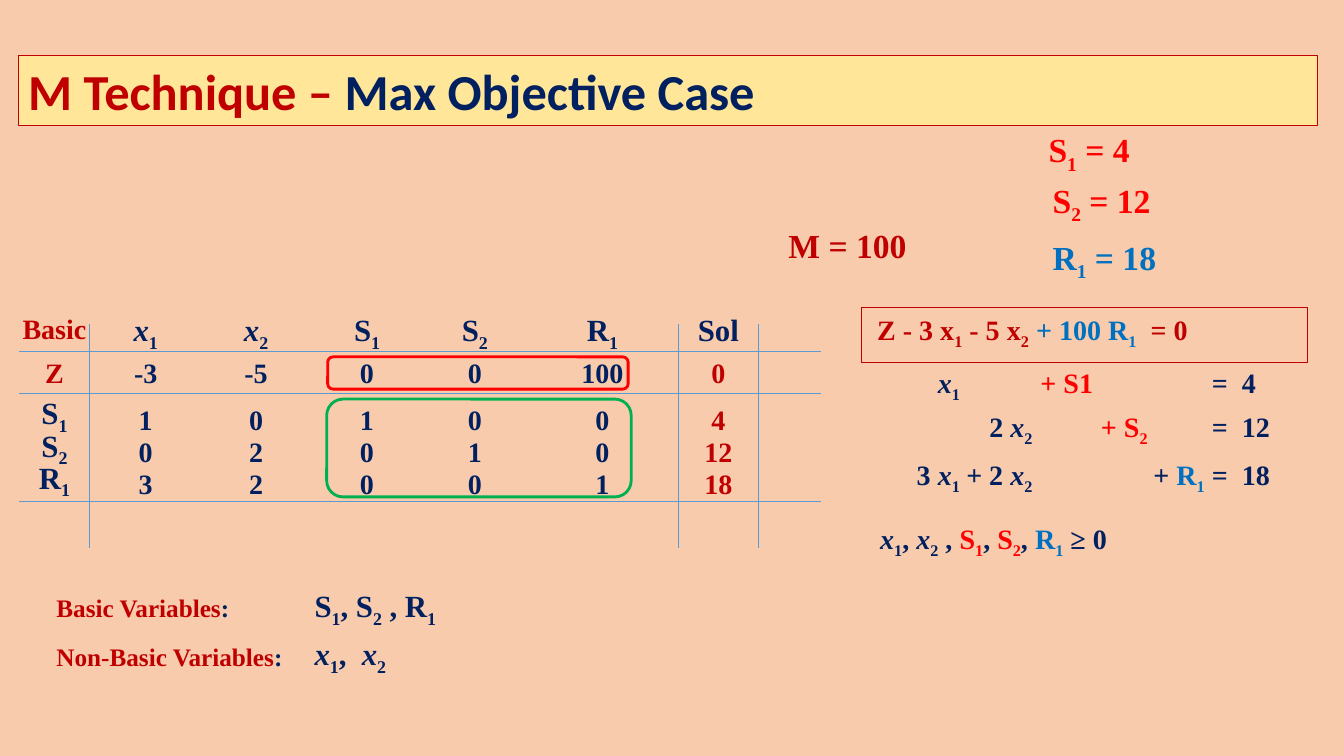
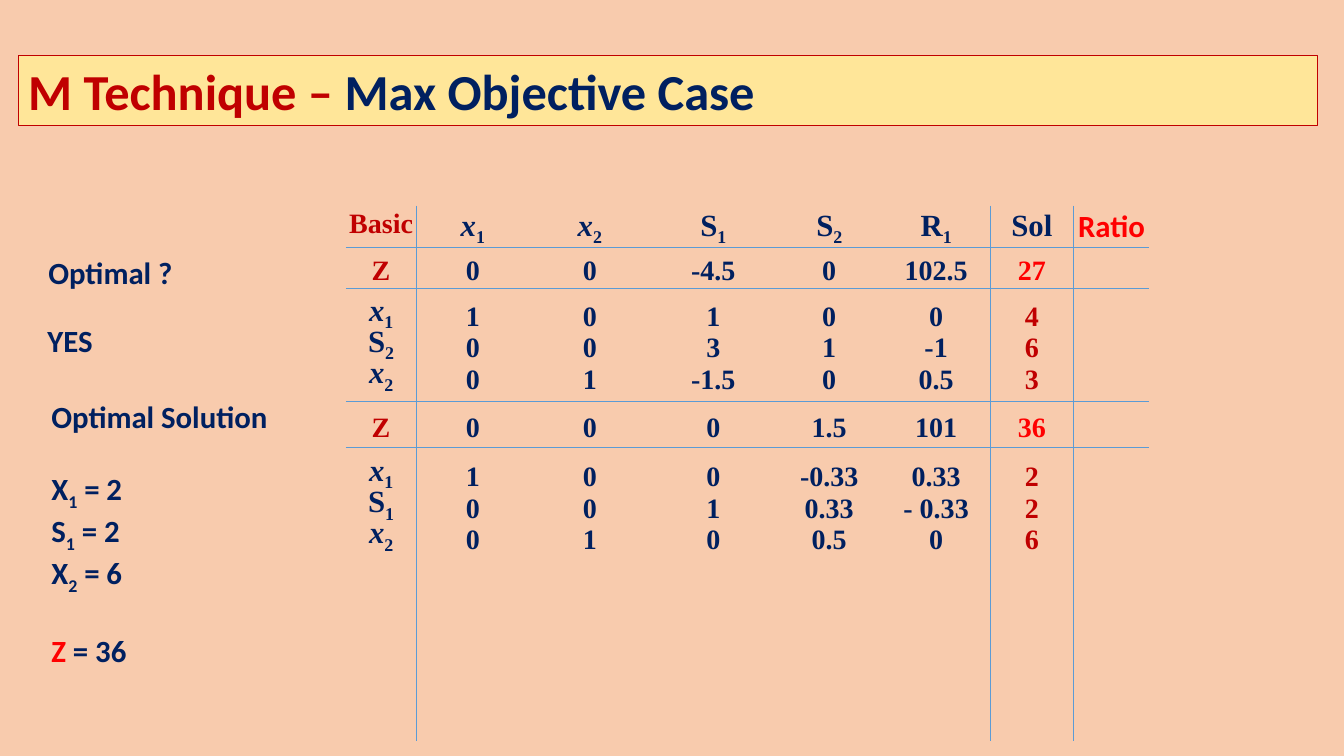
import pptx
import pptx.util
import pptx.dml.color
import pptx.enum.shapes
import pptx.enum.text
import pptx.oxml.ns
from itertools import accumulate
from lxml import etree

In, Pt = pptx.util.Inches, pptx.util.Pt
RGB = pptx.dml.color.RGBColor
SHAPE = pptx.enum.shapes.MSO_SHAPE
ANCHOR = pptx.enum.text.MSO_ANCHOR
ALIGN = pptx.enum.text.PP_ALIGN
qn = pptx.oxml.ns.qn

# Shared look
PEACH, CREAM = RGB(0xF8, 0xCB, 0xAD), RGB(0xFF, 0xE6, 0x99)
DARK_RED, RED = RGB(0xC0, 0, 0), RGB(0xFF, 0, 0)
NAVY, BLUE = RGB(0, 0x20, 0x60), RGB(0, 0x70, 0xC0)
RULE, GREEN = RGB(0x5B, 0x9B, 0xD5), RGB(0, 0xB0, 0x50)
SERIF, SANS = "Times New Roman", "Calibri"
NO_GRID = "{2D5ABB26-0587-4C30-8999-92F81FD0307C}"

# Content: "_" makes the next character a subscript, "~" makes it italic;
# a text with several colours is a list of (text, colour) pairs
TITLE = [("M Technique – ", DARK_RED), ("Max Objective Case", NAVY)]
HEADER = [[("Basic", DARK_RED)], "~x_1", "~x_2", "S_1", "S_2", "R_1", "Sol"]
RATIO = [("Ratio", RED)]

START = dict(
    rows=[HEADER + [""],
          ["Z", "-3", "-5", "0", "0", "100", "0", ""],
          ["S_1", "1", "0", "1", "0", "0", "4", ""],
          ["S_2", "0", "2", "0", "1", "0", "12", ""],
          ["R_1", "3", "2", "0", "0", "1", "18", ""]],
    left=0.19, top=3.12,
    widths=[0.7, 1.11, 1.08, 1.12, 1.02, 1.51, 0.79, 0.62],
    heights=[0.4, 0.34, 0.47, 0.32, 0.32],
    rules_y=[3.49, 3.9, 4.97], rules_span=(3.21, 5.44), z_colour=DARK_RED)

FINAL = dict(
    rows=[HEADER + [RATIO],
          ["Z", "0", "0", "-4.5", "0", "102.5", "27", ""],
          ["~x_1", "1", "0", "1", "0", "0", "4", ""],
          ["S_2", "0", "0", "3", "1", "-1", "6", ""],
          ["~x_2", "0", "1", "-1.5", "0", "0.5", "3", ""],
          ["Z", "0", "0", "0", "1.5", "101", "36", ""],
          ["~x_1", "1", "0", "0", "-0.33", "0.33", "2", ""],
          ["S_1", "0", "0", "1", "0.33", "- 0.33", "2", ""],
          ["~x_2", "0", "1", "0", "0.5", "0", "6", ""]],
    left=3.43, top=2.07,
    widths=[0.7, 1.12, 1.2, 1.25, 1.05, 1.07, 0.83, 0.75],
    heights=[0.4, 0.37, 0.46, 0.31, 0.31, 0.48, 0.49, 0.31, 0.31],
    rules_y=[2.45, 2.86, 3.98, 4.44], rules_span=(2.04, 7.35), z_colour=RED)

OBJECTIVE = [("Z - 3 x_1 - 5 x_2 ", DARK_RED), ("+ 100 R_1", BLUE), ("  = 0", DARK_RED)]
EQUATIONS = [
    ["~x_1", "", [("+ S1", RED)], "", "", "=  4"],
    ["", "2 ~x_2", "", [("+ S_2", RED)], "", "=  12"],
    ["3 ~x_1", "+ 2 ~x_2", "", "", [("+ ", NAVY), ("R_1", BLUE)], "=  18"]]
EQ_WIDTHS = [0.75, 0.72, 0.68, 0.52, 0.58, 0.9]
EQ_HEIGHTS = [0.43, 0.48, 0.45]
EQ_INDENT = {2: 0.08, 3: 0, 4: 0, 5: 0}
SIGNS = [("~x_1, ~x_2 , ", NAVY), ("S_1", RED), (", ", NAVY), ("S_2", RED),
         (", ", NAVY), ("R_1", BLUE), (" ≥ 0", NAVY)]

# (text, left, top, size, colour)
START_NOTES = [
    ("S_1 = 4", 10.4, 1.28, 24, RED),
    ("S_2 = 12", 10.44, 1.78, 24, RED),
    ("R_1 = 18", 10.44, 2.35, 24, BLUE),
    ("M = 100", 7.82, 2.23, 24, DARK_RED),
    (SIGNS, 8.73, 5.17, 20, NAVY),
    ([("Basic Variables", DARK_RED), (":", NAVY)], 0.56, 5.88, 18, NAVY),
    ("S_1, S_2 , R_1", 3.12, 5.82, 22, NAVY),
    ([("Non-Basic Variables", DARK_RED), (":", NAVY)], 0.56, 6.36, 18, NAVY),
    ("~x_1,  ~x_2", 3.12, 6.3, 22, NAVY)]
FINAL_NOTES = [("Optimal ?", 0.48, 2.52), ("YES", 0.47, 3.19), ("Optimal Solution", 0.51, 3.95)]
SOLUTION = ["X_1 = 2", "S_1 = 2", "X_2 = 6", [("Z", RED), (" = 36", NAVY)]]


def split_marks(text):
    """Yield (piece, mark), where mark is "_", "~" or ""."""
    plain, i = "", 0
    while i < len(text):
        if text[i] in "_~":
            if plain:
                yield plain, ""
            yield text[i + 1], text[i]
            plain, i = "", i + 2
        else:
            plain, i = plain + text[i], i + 1
    if plain:
        yield plain, ""


def write(p, text, size=20, colour=NAVY, font=SERIF, align=ALIGN.LEFT, spacing=None, before=0):
    """Write marked text into a paragraph."""
    p.alignment, p.line_spacing, p.space_before = align, spacing, Pt(before)
    for part, part_colour in [(text, colour)] if isinstance(text, str) else text:
        for piece, mark in split_marks(part):
            r = p.add_run()
            r.text = piece
            r.font.name, r.font.size, r.font.bold = font, Pt(size), True
            r.font.color.rgb = part_colour
            if mark == "~":
                r.font.italic = True
            elif mark == "_":
                r.font._element.set("baseline", "-25000")


def add_note(s, lines, x, y, gap_before_last=0, **fmt):
    tf = s.shapes.add_textbox(In(x), In(y), In(2.9), In(0.42 * len(lines))).text_frame
    tf.word_wrap = True
    tf.margin_left = tf.margin_right = tf.margin_top = tf.margin_bottom = 0
    for i, line in enumerate(lines):
        p = tf.add_paragraph() if i else tf.paragraphs[0]
        write(p, line, before=gap_before_last if i == len(lines) - 1 else 0, **fmt)


def add_frame(s, kind, x, y, w, h, colour, weight):
    sp = s.shapes.add_shape(kind, In(x), In(y), In(w), In(h))
    sp.shadow.inherit = False
    sp.fill.background()
    sp.line.color.rgb, sp.line.width = colour, Pt(weight)
    return sp


def add_rule(s, x1, y1, x2, y2):
    line = s.shapes.add_connector(pptx.enum.shapes.MSO_CONNECTOR.STRAIGHT,
                                  In(x1), In(y1), In(x2), In(y2))
    line.line.color.rgb, line.line.width = RULE, Pt(0.5)
    etree.SubElement(line._element.spPr, qn("a:effectLst"))


def add_grid(s, rows, x, y, widths, heights, cell_format):
    """Add a borderless table; cell_format(i, j) gives anchor, indent and text format."""
    tbl = s.shapes.add_table(len(rows), len(widths), In(x), In(y),
                             In(sum(widths)), In(sum(heights))).table
    tbl.first_row = tbl.horz_banding = False
    tbl._tbl.tblPr.find(qn("a:tableStyleId")).text = NO_GRID
    for col, w in zip(tbl.columns, widths):
        col.width = In(w)
    for row, h in zip(tbl.rows, heights):
        row.height = In(h)
    for i, row in enumerate(rows):
        for j, text in enumerate(row):
            cell = tbl.cell(i, j)
            cell.fill.background()
            anchor, indent, fmt = cell_format(i, j)
            cell.vertical_anchor = anchor
            cell.margin_left = In(indent)
            cell.margin_right = cell.margin_top = cell.margin_bottom = 0
            write(cell.text_frame.paragraphs[0], text, **fmt)


def add_tableau(s, t):
    sol = len(HEADER) - 1

    def cell_format(i, j):
        is_z = t["rows"][i][0] == "Z"
        fmt = dict(align=ALIGN.CENTER, size=20)
        if i == 0:
            fmt.update(size=20 if j == 0 else 22, font=SANS if j > sol else SERIF)
            return ANCHOR.TOP, 0, fmt
        if j == 0 and not is_z:
            fmt["size"] = 22
        elif j == sol:
            fmt["colour"] = t["z_colour"] if is_z else DARK_RED
        elif j == 0:
            fmt["colour"] = DARK_RED
        return ANCHOR.BOTTOM, 0, dict(fmt, spacing=Pt(fmt["size"]))

    add_grid(s, t["rows"], t["left"], t["top"], t["widths"], t["heights"], cell_format)
    edges = list(accumulate(t["widths"], initial=t["left"]))
    for y in t["rules_y"]:
        add_rule(s, t["left"], y, edges[-1], y)
    for x in (edges[1], edges[sol], edges[sol + 1]):
        add_rule(s, x, t["rules_span"][0], x, t["rules_span"][1])


def equation_format(i, j):
    align = ALIGN.LEFT if j in EQ_INDENT else ALIGN.RIGHT
    return ANCHOR.TOP, EQ_INDENT.get(j, 0), dict(align=align)


def add_slide(prs):
    s = prs.slides.add_slide(prs.slide_layouts[5])
    s.background.fill.solid()
    s.background.fill.fore_color.rgb = PEACH
    sp = s.shapes.title
    sp.left, sp.top, sp.width, sp.height = In(0.18), In(0.55), In(12.89), In(0.7)
    sp.fill.solid()
    sp.fill.fore_color.rgb = CREAM
    sp.line.color.rgb, sp.line.width = DARK_RED, Pt(0.75)
    tf = sp.text_frame
    tf.auto_size = pptx.enum.text.MSO_AUTO_SIZE.NONE
    tf.vertical_anchor = ANCHOR.BOTTOM
    write(tf.paragraphs[0], TITLE, size=36, font=SANS, spacing=0.9)
    return s


def main():
    prs = pptx.Presentation()
    prs.slide_width, prs.slide_height = In(13.33), In(7.5)

    # Starting tableau and model
    s = add_slide(prs)
    add_tableau(s, START)
    add_frame(s, SHAPE.ROUNDED_RECTANGLE, 3.25, 3.54, 2.98, 0.32, RED, 2)
    add_frame(s, SHAPE.ROUNDED_RECTANGLE, 3.24, 3.96, 3.02, 0.97, GREEN, 2)
    tf = add_frame(s, SHAPE.RECTANGLE, 8.54, 3.05, 4.43, 0.55, DARK_RED, 0.75).text_frame
    tf.margin_left, tf.margin_bottom, tf.vertical_anchor = In(0.16), In(0.13), ANCHOR.MIDDLE
    write(tf.paragraphs[0], OBJECTIVE)
    add_grid(s, EQUATIONS, 8.77, 3.66, EQ_WIDTHS, EQ_HEIGHTS, equation_format)
    for text, x, y, size, colour in START_NOTES:
        add_note(s, [text], x, y, size=size, colour=colour)

    # Final tableaus and solution
    s = add_slide(prs)
    add_tableau(s, FINAL)
    for text, x, y in FINAL_NOTES:
        add_note(s, [text], x, y, size=22, font=SANS)
    add_note(s, SOLUTION, 0.51, 4.66, gap_before_last=26, size=22, font=SANS)

    prs.save("out.pptx")


if __name__ == "__main__":
    main()
